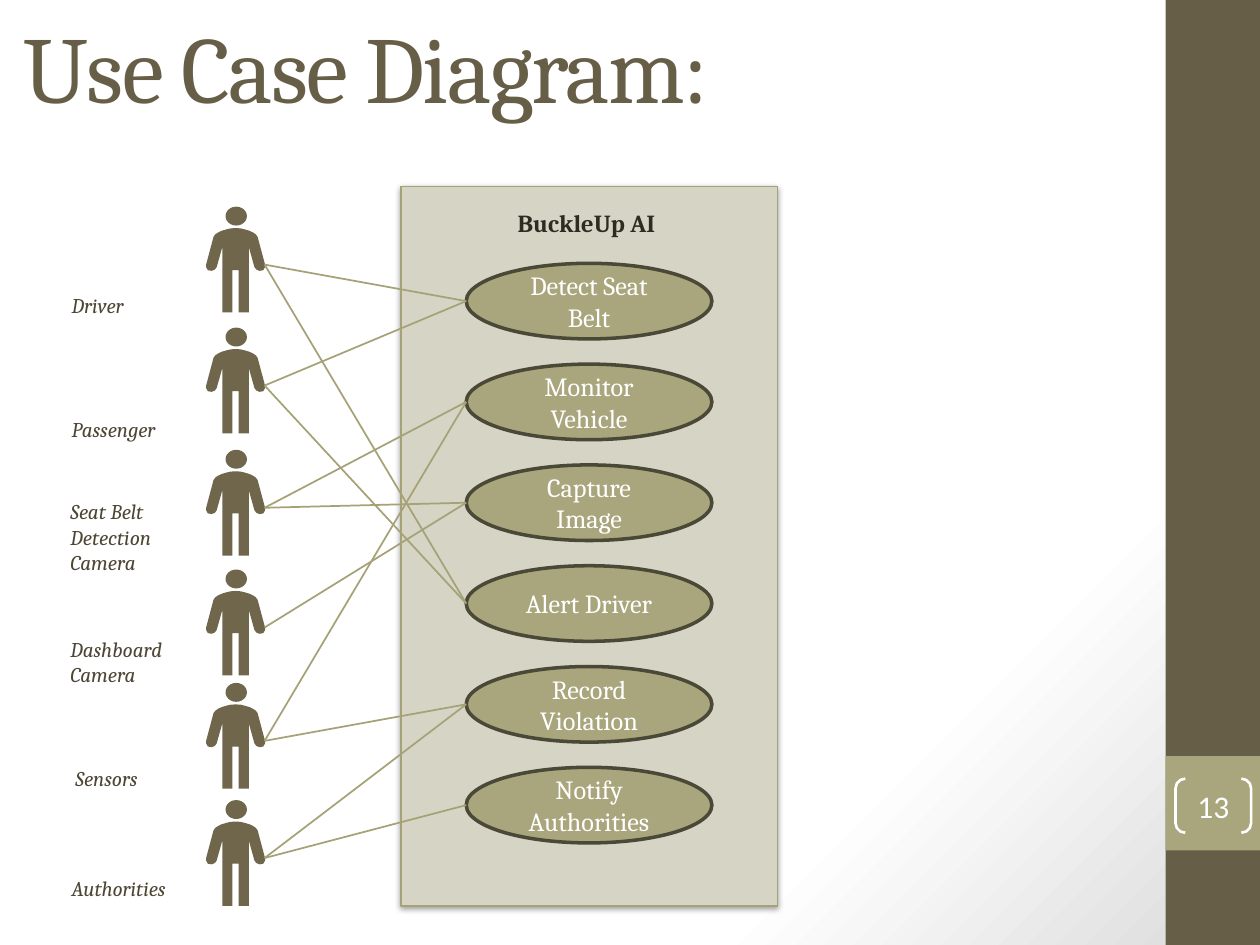
from lxml import etree
from pptx import Presentation
from pptx.dml.color import RGBColor
from pptx.enum.shapes import MSO_CONNECTOR, MSO_SHAPE
from pptx.enum.text import MSO_ANCHOR, PP_ALIGN
from pptx.oxml import parse_xml
from pptx.oxml.ns import nsdecls, qn
from pptx.util import Inches, Pt

WHITE = RGBColor(0xFF, 0xFF, 0xFF)
GREY = RGBColor(0xDA, 0xDA, 0xDA)
BROWN = RGBColor(0x67, 0x5E, 0x47)
SAGE = RGBColor(0xA9, 0xA5, 0x7C)
SAGE_LINE = RGBColor(0xA6, 0xA2, 0x78)
PANEL = RGBColor(0xD5, 0xD4, 0xC5)
OUTLINE = RGBColor(0x4A, 0x48, 0x36)
PERSON = RGBColor(0x6F, 0x66, 0x4C)
LABEL = RGBColor(0x4D, 0x46, 0x35)
HEADING = RGBColor(0x2F, 0x2B, 0x20)

# Name, top of the figure, box of the label, numbers of the use cases
ACTORS = [
    ("Driver", 1.64, (0.47, 2.27, 0.65, 0.3), (0, 3)),
    ("Passenger", 2.6, (0.47, 3.26, 1, 0.3), (0, 3)),
    ("Seat Belt Detection Camera", 3.57, (0.46, 3.91, 1.32, 0.71), (1, 2)),
    ("Dashboard Camera", 4.52, (0.46, 5, 1.13, 0.5), (2,)),
    ("Sensors", 5.42, (0.5, 6.03, 0.83, 0.3), (1, 4)),
    ("Authorities", 6.35, (0.47, 6.9, 1, 0.3), (4, 5)),
]
USE_CASES = ["Detect Seat Belt", "Monitor Vehicle", "Capture Image",
             "Alert Driver", "Record Violation", "Notify Authorities"]
CASE_LEFT, CASE_TOP, CASE_PITCH = 3.7, 2.09, 0.8
CASE_WIDTH, CASE_HEIGHT = 1.95, 0.6
PERSON_CENTER, HAND_X, HAND_DROP = 1.87, 2.1, 0.46

# Right half of the body in thousandths of an inch, from neck to crotch
HALF_BODY = [(0, 0), (40, 3), (70, 10), (110, 22), (140, 36), (160, 50),
             (175, 70), (234, 290), (234, 310), (220, 335), (190, 340),
             (165, 330), (150, 310), (105, 150), (105, 670), (25, 670),
             (25, 335)]


def add_shape(shapes, kind, box, fill=None, line=None, width=1):
    sp = shapes.add_shape(kind, *map(Inches, box))
    style(sp, fill, line, width)
    return sp


def style(sp, fill, line=None, width=1):
    sp.shadow.inherit = False
    if fill is None:
        sp.fill.background()
    else:
        sp.fill.solid()
        sp.fill.fore_color.rgb = fill
    if line is None:
        sp.line.fill.background()
    else:
        sp.line.color.rgb = line
        sp.line.width = Pt(width)


def write(sp, text, size, color, font="Cambria", align=PP_ALIGN.LEFT,
          anchor=MSO_ANCHOR.TOP, bold=False, italic=False):
    tf = sp.text_frame
    tf.word_wrap = True
    tf.vertical_anchor = anchor
    p = tf.paragraphs[0]
    p.alignment = align
    r = p.add_run()
    r.text = text
    r.font.name, r.font.size = font, Pt(size)
    r.font.bold, r.font.italic = bold, italic
    r.font.color.rgb = color
    return r


def add_text(s, box, text, size, color, **options):
    return write(s.shapes.add_textbox(*map(Inches, box)), text, size, color, **options)


def add_background(s):
    fill = s.background.fill
    fill.gradient()
    fill.gradient_angle = 315
    for stop, position, color in zip(fill.gradient_stops, (0.75, 1), (WHITE, GREY)):
        stop.position = position
        stop.color.rgb = color


def add_sidebar(s, left, width, height):
    add_shape(s.shapes, MSO_SHAPE.RECTANGLE, (left, 0, width, height), BROWN)
    add_shape(s.shapes, MSO_SHAPE.RECTANGLE, (left, 6, width, width), SAGE)
    sp = add_shape(s.shapes, MSO_SHAPE.DOUBLE_BRACKET,
                   (left + 0.08, 6.18, 0.6, 0.43), line=WHITE, width=1.5)
    sp.adjustments[0] = 0.18
    tf = sp.text_frame
    tf.margin_left = tf.margin_right = tf.margin_top = tf.margin_bottom = 0
    write(sp, "13", 18, WHITE, "Calibri", PP_ALIGN.CENTER, MSO_ANCHOR.MIDDLE)


def add_title(s, box):
    r = add_text(s, box, "Use Case Diagram:", 54, BROWN, anchor=MSO_ANCHOR.MIDDLE)
    r.font._element.set("spc", "-100")


def add_system(s, box):
    panel = add_shape(s.shapes, MSO_SHAPE.RECTANGLE, box, PANEL, SAGE_LINE)
    effects = panel._element.spPr.find(qn("a:effectLst"))
    effects.append(parse_xml(
        f'<a:outerShdw {nsdecls("a")} blurRad="{Pt(3.1)}" dist="{Pt(1.6)}" '
        'dir="5400000" rotWithShape="0"><a:srgbClr val="000000">'
        '<a:alpha val="38000"/></a:srgbClr></a:outerShdw>'))
    add_text(s, (4.01, 1.6, 1.34, 0.34), "BuckleUp AI", 14, HEADING, bold=True)
    for i, name in enumerate(USE_CASES):
        case = add_shape(s.shapes, MSO_SHAPE.OVAL,
                         (CASE_LEFT, CASE_TOP + i * CASE_PITCH, CASE_WIDTH, CASE_HEIGHT),
                         SAGE, OUTLINE, 2)
        write(case, name, 15, WHITE, align=PP_ALIGN.CENTER, anchor=MSO_ANCHOR.MIDDLE)


def add_person(s, center, top):
    shapes = s.shapes.add_group_shape().shapes
    add_shape(shapes, MSO_SHAPE.OVAL, (center - 0.08, top, 0.17, 0.15), PERSON)
    outline = HALF_BODY + [(-x, y) for x, y in reversed(HALF_BODY)]
    builder = shapes.build_freeform(*outline[0], scale=Inches(0.001))
    builder.add_line_segments(outline[1:], close=True)
    style(builder.convert_to_shape(Inches(center), Inches(top + 0.17)), PERSON)


def add_link(s, start, end):
    line = s.shapes.add_connector(MSO_CONNECTOR.STRAIGHT, *map(Inches, start + end))
    line.line.color.rgb = SAGE_LINE
    line.line.width = Pt(1)
    etree.SubElement(line._element.spPr, qn("a:effectLst"))


def add_actors(s):
    for name, top, label_box, cases in ACTORS:
        add_person(s, PERSON_CENTER, top)
        add_text(s, label_box, name, 12, LABEL, italic=True)
        for i in cases:
            case_y = CASE_TOP + i * CASE_PITCH + CASE_HEIGHT / 2
            add_link(s, (HAND_X, top + HAND_DROP), (CASE_LEFT, case_y))


def main():
    prs = Presentation()
    prs.slide_width, prs.slide_height = Inches(10), Inches(7.5)
    s = prs.slides.add_slide(prs.slide_layouts[6])
    add_background(s)
    add_sidebar(s, 9.25, 0.75, 7.5)
    add_title(s, (0.09, -0.1, 8.33, 1.25))
    add_system(s, (3.18, 1.48, 2.99, 5.71))
    add_actors(s)
    prs.save("out.pptx")


if __name__ == "__main__":
    main()
